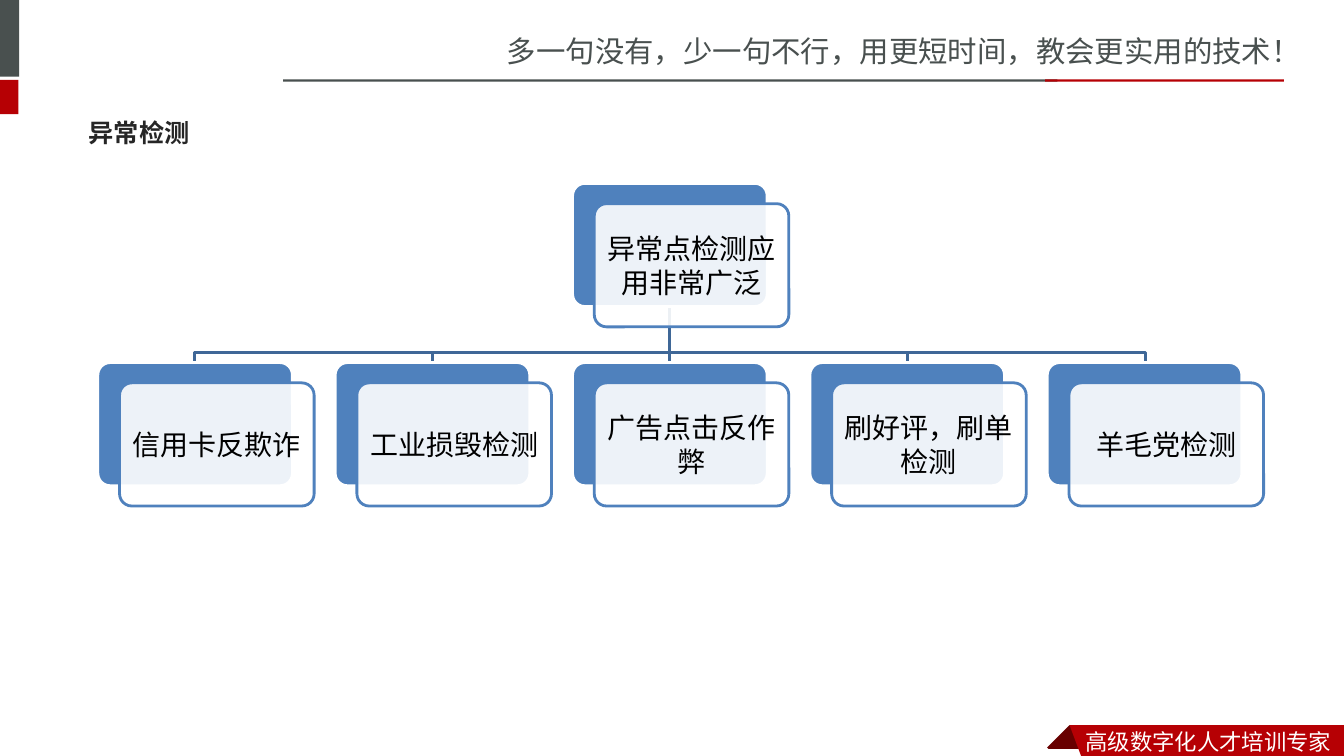
from lxml.etree import SubElement
from pptx import Presentation
from pptx.dml.color import RGBColor
from pptx.enum.shapes import MSO_CONNECTOR as Connector, MSO_SHAPE as Shape
from pptx.enum.text import MSO_ANCHOR as Anchor, MSO_AUTO_SIZE as AutoSize, PP_ALIGN as Align
from pptx.oxml.ns import qn
from pptx.util import Pt

COLORS = {
    "gray": "49504F", "red": "B60004", "dark_red": "680000", "heading": "262626",
    "blue": "4F81BD", "line": "3F6797", "white": "FFFFFF", "black": "000000",
}
HEADER_FONT = "Noto Sans CJK SC"
HEADING_FONT = "Noto Sans CJK JP"
CARD_FONT = "Calibri"

ROOT = "异常点检测应用非常广泛"
USES = ["信用卡反欺诈", "工业损毁检测", "广告点击反作弊", "刷好评，刷单检测", "羊毛党检测"]
CARD_WIDTH, CARD_HEIGHT = 139, 88
OFFSET_X, OFFSET_Y = 15.5, 14.5
FIRST_LEFT, STEP = 69.9, 169.55
ROOT_TOP, USES_TOP, BRANCH_Y = 131, 259, 251.5


def color(name):
    return RGBColor.from_string(COLORS[name])


class SlideBuilder:
    def __init__(self, slide):
        self.slide = slide
        self.shapes = slide.shapes

    def style(self, shape, fill=None, line=None):
        shape.shadow.inherit = False
        if fill:
            shape.fill.solid()
            shape.fill.fore_color.rgb = color(fill)
        else:
            shape.fill.background()
        if line:
            shape.line.color.rgb = color(line)
            shape.line.width = Pt(2)
        else:
            shape.line.fill.background()

    def set_text(self, shape, text, size, font_name, color_name, align=Align.LEFT,
                 anchor=Anchor.TOP, bold=False):
        frame = shape.text_frame
        frame.word_wrap = True
        frame.auto_size = AutoSize.NONE
        frame.vertical_anchor = anchor
        frame.text = text
        paragraph = frame.paragraphs[0]
        paragraph.alignment = align
        font = paragraph.font
        font.size = Pt(size)
        font.bold = bold
        font.color.rgb = color(color_name)
        font.name = font_name
        properties = paragraph._p.get_or_add_pPr().find(qn("a:defRPr"))
        SubElement(properties, qn("a:ea")).set("typeface", font_name)

    def title(self, text, left, top, width, height):
        title = self.shapes.title
        title.left, title.top, title.width, title.height = map(Pt, (left, top, width, height))
        self.set_text(title, text, 18, HEADING_FONT, "heading", anchor=Anchor.MIDDLE, bold=True)

    def text(self, text, left, top, width, height, size, color_name):
        box = self.shapes.add_textbox(Pt(left), Pt(top), Pt(width), Pt(height))
        self.set_text(box, text, size, HEADER_FONT, color_name)

    def bar(self, left, top, width, height, fill):
        bar = self.shapes.add_shape(Shape.RECTANGLE, Pt(left), Pt(top), Pt(width), Pt(height))
        self.style(bar, fill)

    def outline(self, points, fill=None, line=None):
        builder = self.shapes.build_freeform(*points[0], scale=Pt(1))
        builder.add_line_segments(points[1:], close=fill is not None)
        self.style(builder.convert_to_shape(), fill, line)

    def straight_line(self, start, end):
        connector = self.shapes.add_connector(Connector.STRAIGHT, *map(Pt, start + end))
        connector.line.color.rgb = color("line")
        connector.line.width = Pt(2)
        SubElement(connector._element.spPr, qn("a:effectLst"))

    def panel(self, left, top, fill, line):
        panel = self.shapes.add_shape(
            Shape.ROUNDED_RECTANGLE, Pt(left), Pt(top), Pt(CARD_WIDTH), Pt(CARD_HEIGHT))
        panel.adjustments[0] = 0.1
        self.style(panel, fill, line)
        return panel

    def card(self, text, left, top):
        self.panel(left, top, "blue", "white")
        front = self.panel(left + OFFSET_X, top + OFFSET_Y, "white", "blue")
        fill_color = front._element.spPr.find(qn("a:solidFill"))[0]
        SubElement(fill_color, qn("a:alpha")).set("val", "90000")
        frame = front.text_frame
        frame.margin_left = frame.margin_right = Pt(5.5)
        frame.margin_top = frame.margin_bottom = Pt(5.5)
        self.set_text(front, text, 20, CARD_FONT, "black", Align.CENTER, Anchor.MIDDLE)


def main():
    presentation = Presentation()
    presentation.slide_width, presentation.slide_height = Pt(960), Pt(540)
    builder = SlideBuilder(presentation.slides.add_slide(presentation.slide_layouts[5]))

    builder.text("多一句没有，少一句不行，用更短时间，教会更实用的技术！",
                 355, 20, 605, 32.5, 21, "gray")
    builder.bar(-4.3, 0, 18, 54.7, "gray")
    builder.bar(-4.3, 57, 17.5, 24.5, "red")
    builder.bar(202.3, 56.7, 553, 1.6, "gray")
    builder.bar(746.6, 56.7, 170.6, 1.6, "red")
    builder.outline([(764, 518.4), (779.8, 534.2), (779, 535), (748.8, 535), (748, 534.2)],
                    fill="dark_red")
    builder.outline([(764, 518.4), (960, 518.4), (960, 543), (773.3, 542.2)], fill="red")
    builder.text("高级数字化人才培训专家", 768.3, 516.3, 191.7, 26.6, 16, "white")
    builder.title("异常检测", 56.2, 74.2, 846.7, 41)

    lefts = [FIRST_LEFT + index * STEP for index in range(len(USES))]
    root_left = lefts[len(USES) // 2]
    root_x, root_bottom = root_left + CARD_WIDTH / 2, ROOT_TOP + CARD_HEIGHT
    for left in lefts:
        x = left + CARD_WIDTH / 2
        if left == root_left:
            builder.straight_line((root_x, root_bottom), (x, USES_TOP))
        else:
            builder.outline([(root_x, root_bottom), (root_x, BRANCH_Y),
                             (x, BRANCH_Y), (x, USES_TOP)], line="line")

    builder.card(ROOT, root_left, ROOT_TOP)
    for text, left in zip(USES, lefts):
        builder.card(text, left, USES_TOP)

    presentation.save("out.pptx")


if __name__ == "__main__":
    main()
